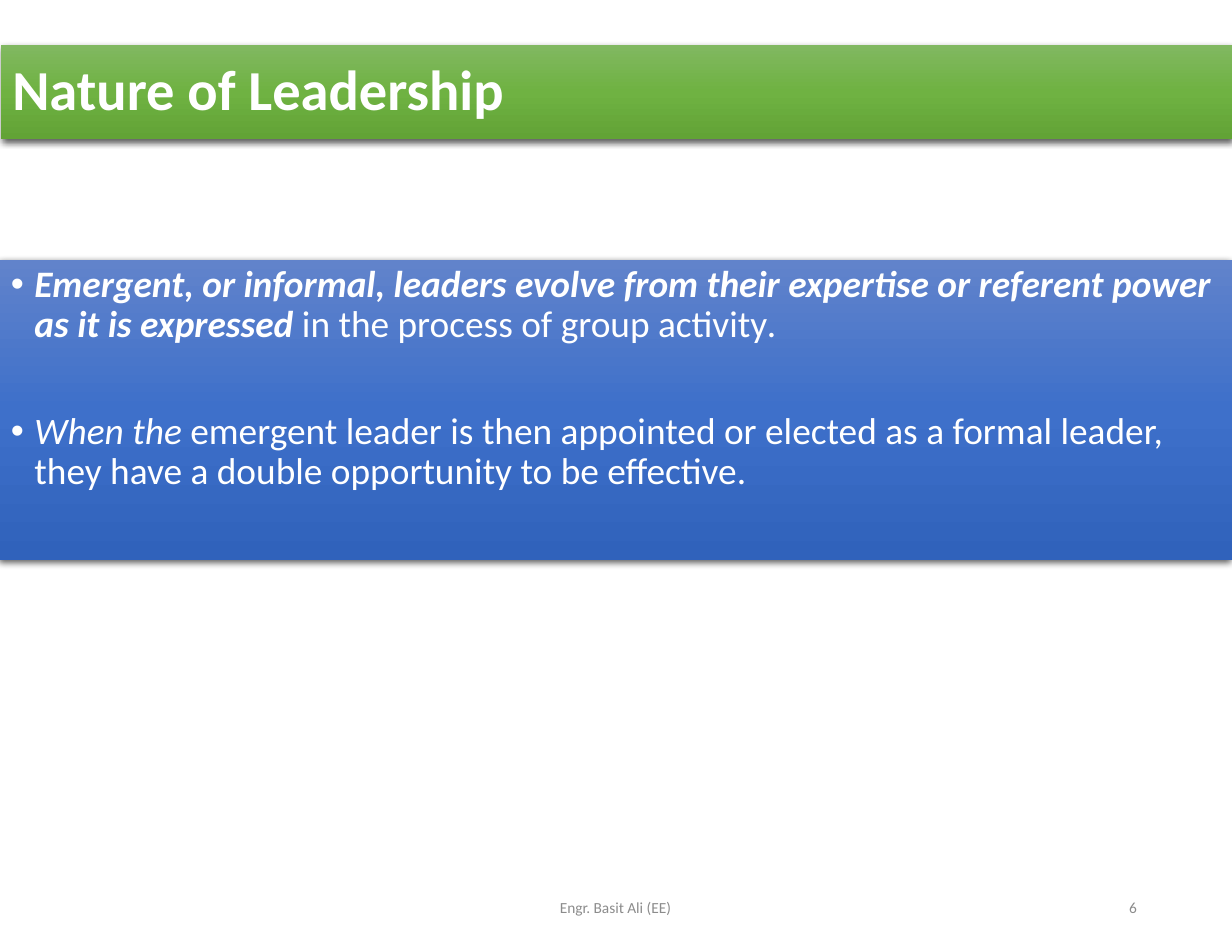
"""Build the Nature of Leadership slide."""
import lxml.etree
import pptx
import pptx.dml.color
import pptx.enum.shapes
import pptx.enum.text
import pptx.oxml
import pptx.oxml.ns
import pptx.util

WIDTH, HEIGHT = 11, 8.5
FONT = "Calibri"
COLORS = {"white": "FFFFFF", "footer": "8C8C8C", "shadow": "000000"}
GRADIENTS = {
    "green": ["81B861", "6FB242", "62A336"],
    "blue": ["6183CB", "3E70CA", "3062BB"],
}
TITLE = "Nature of Leadership"
BULLETS = [
    [
        ("Emergent, or informal, leaders evolve from their expertise or referent power as it is expressed ", True, True),
        ("in the process of group activity", False, False),
        (".", False, True),
    ],
    [
        ("When the ", False, True),
        ("emergent leader is then appointed or elected as a formal leader, they have a double opportunity to be effective.", False, False),
    ],
]
ALIGN = pptx.enum.text.PP_ALIGN
ANCHOR = pptx.enum.text.MSO_ANCHOR
FOOTERS = [
    ("Engr. Basit Ali (EE)", 3.64, 3.71, ALIGN.CENTER),
    ("6", 7.77, 2.48, ALIGN.RIGHT),
]
FOOTER_TOP, FOOTER_HEIGHT = 7.88, 0.45
BULLET_INDENT, BULLET_GAP = 0.21, 42.7


def place(shape, left, top, width, height):
    shape.left, shape.top, shape.width, shape.height = map(
        pptx.util.Inches, (left, top, width, height))


def prepare_frame(shape, anchor):
    frame = shape.text_frame
    frame.word_wrap = True
    frame.auto_size = pptx.enum.text.MSO_AUTO_SIZE.NONE
    frame.vertical_anchor = anchor
    return frame


def add_run(paragraph, text, size, color, bold=False, italic=False):
    run = paragraph.add_run()
    run.text = text
    run.font.name = FONT
    run.font.size = pptx.util.Pt(size)
    run.font.bold = bold
    run.font.italic = italic
    run.font.color.rgb = pptx.dml.color.RGBColor.from_string(COLORS[color])


def style_band(shape, gradient):
    namespace = pptx.oxml.ns.nsdecls("a")
    stops = "".join(
        f'<a:gs pos="{index * 50000}"><a:srgbClr val="{color}"/></a:gs>'
        for index, color in enumerate(GRADIENTS[gradient]))
    properties = shape.element.spPr
    properties.append(pptx.oxml.parse_xml(
        f'<a:gradFill {namespace} rotWithShape="1"><a:gsLst>{stops}</a:gsLst>'
        '<a:lin ang="5400000" scaled="0"/></a:gradFill>'))
    shape.line.fill.background()
    blur, distance = pptx.util.Pt(4.5), pptx.util.Pt(1.5)
    properties.append(pptx.oxml.parse_xml(
        f'<a:effectLst {namespace}><a:outerShdw blurRad="{blur}" dist="{distance}" '
        f'dir="5400000" algn="ctr" rotWithShape="0"><a:srgbClr val="{COLORS["shadow"]}">'
        '<a:alpha val="63000"/></a:srgbClr></a:outerShdw></a:effectLst>'))


def add_bullet(paragraph):
    properties = paragraph._p.get_or_add_pPr()
    indent = pptx.util.Inches(BULLET_INDENT)
    properties.set("marL", str(indent))
    properties.set("indent", str(-indent))
    for tag, attribute, value in (("a:buFont", "typeface", "Arial"), ("a:buChar", "char", "•")):
        element = lxml.etree.SubElement(properties, pptx.oxml.ns.qn(tag))
        element.set(attribute, value)


def build_title(slide):
    title = slide.shapes.title
    place(title, 0.01, 0.4, WIDTH, 0.84)
    style_band(title, "green")
    paragraph = prepare_frame(title, ANCHOR.MIDDLE).paragraphs[0]
    paragraph.alignment = ALIGN.LEFT
    paragraph.line_spacing = 0.9
    add_run(paragraph, TITLE, 36.3, "white", bold=True)


def build_body(slide):
    body = slide.shapes.add_shape(pptx.enum.shapes.MSO_SHAPE.RECTANGLE, 0, 0, 0, 0)
    place(body, 0, 2.32, WIDTH, 2.68)
    style_band(body, "blue")
    frame = prepare_frame(body, ANCHOR.TOP)
    for index, runs in enumerate(BULLETS):
        paragraph = frame.add_paragraph() if index else frame.paragraphs[0]
        paragraph.alignment = ALIGN.LEFT
        paragraph.line_spacing = 0.9
        paragraph.space_before = pptx.util.Pt(BULLET_GAP if index else 0)
        add_bullet(paragraph)
        for text, bold, italic in runs:
            add_run(paragraph, text, 24, "white", bold, italic)


def build_footers(slide):
    for text, left, width, alignment in FOOTERS:
        box = slide.shapes.add_textbox(0, 0, 0, 0)
        place(box, left, FOOTER_TOP, width, FOOTER_HEIGHT)
        paragraph = prepare_frame(box, ANCHOR.MIDDLE).paragraphs[0]
        paragraph.alignment = alignment
        add_run(paragraph, text, 9.9, "footer")


def main():
    presentation = pptx.Presentation()
    presentation.slide_width = pptx.util.Inches(WIDTH)
    presentation.slide_height = pptx.util.Inches(HEIGHT)
    slide = presentation.slides.add_slide(presentation.slide_layouts.get_by_name("Title Only"))
    build_title(slide)
    build_body(slide)
    build_footers(slide)
    presentation.save("out.pptx")


if __name__ == "__main__":
    main()
